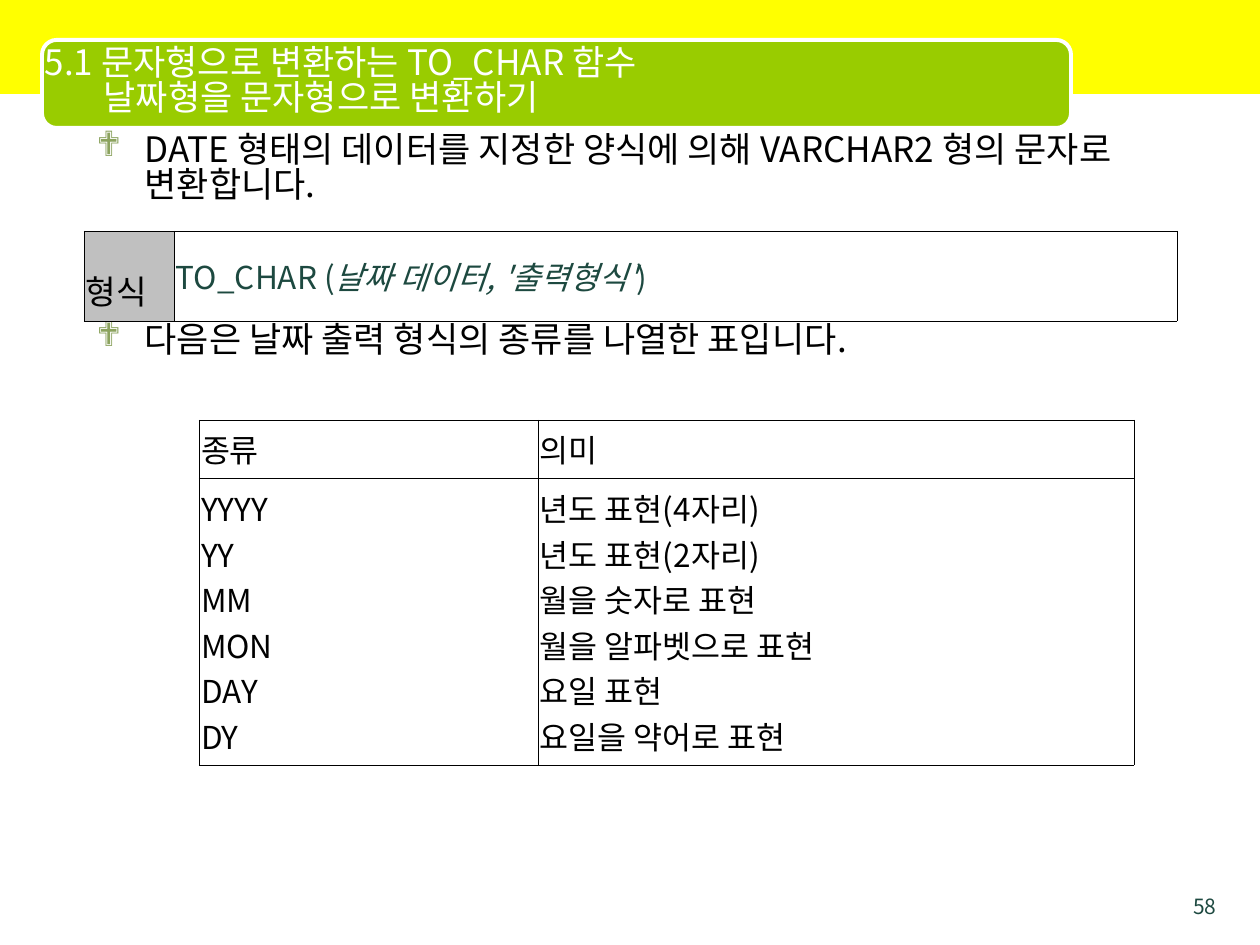
import pptx
import pptx.util
import pptx.dml.color
import pptx.enum.shapes
import pptx.enum.text
import pptx.oxml
import pptx.oxml.ns
from dataclasses import dataclass
from lxml import etree


@dataclass
class Theme:
    font: str = "Noto Sans CJK KR"
    band: str = "FFFF00"
    bar: str = "99CC00"
    white: str = "FFFFFF"
    black: str = "000000"
    green: str = "1D4940"
    mark: str = "8CA35F"
    gray: str = "C0C0C0"
    head: int = 20
    label: int = 19
    cell: int = 18
    page: int = 12
    tight: float = 0.83


theme = Theme()
rgb = pptx.dml.color.RGBColor.from_string
qn = pptx.oxml.ns.qn
align = pptx.enum.text.PP_ALIGN
middle = pptx.enum.text.MSO_ANCHOR.MIDDLE
kinds = pptx.enum.shapes.MSO_SHAPE


def px(*nums):
    return [pptx.util.Emu(round(n * 914400 / 126)) for n in nums]


def style(frame, size, color, side=align.LEFT):
    for para in frame.paragraphs:
        para.alignment = side
        for run in para.runs:
            run.font.size = pptx.util.Pt(size)
            run.font.color.rgb = rgb(color)
            run.font.name = theme.font
            props = run.font._element
            etree.SubElement(props, qn("a:ea"), typeface=theme.font)


deck = pptx.Presentation()
deck.slide_width, deck.slide_height = px(1260, 945)
slide = deck.slides.add_slide(deck.slide_layouts[1])
shapes = slide.shapes
title, body = slide.placeholders

for kind, box, color in (
    (kinds.RECTANGLE, (0, 0, 1260, 94), theme.band),
    (kinds.ROUNDED_RECTANGLE, (42, 40, 1029, 88), theme.bar),
):
    shape = shapes.add_shape(kind, *px(*box))
    shape.shadow.inherit = False
    shape.fill.solid()
    shape.fill.fore_color.rgb = rgb(color)
    if color == theme.bar:
        shape.line.color.rgb = rgb(theme.white)
        shape.line.width = pptx.util.Pt(2.25)
    else:
        shape.line.fill.background()
    title._element.addprevious(shape._element)

for holder, box, text, color in (
    (title, (32, 44, 1080, 78),
     "5.1 문자형으로 변환하는 TO_CHAR 함수\n날짜형을 문자형으로 변환하기", theme.white),
    (body, (84, 128, 1144, 772),
     "DATE 형태의 데이터를 지정한 양식에 의해 VARCHAR2 형의 문자로 변환합니다.\n"
     "다음은 날짜 출력 형식의 종류를 나열한 표입니다.", theme.black),
):
    holder.left, holder.top, holder.width, holder.height = px(*box)
    frame = holder.text_frame
    frame.text = text
    frame.word_wrap = True
    frame.auto_size = pptx.enum.text.MSO_AUTO_SIZE.NONE
    for para in frame.paragraphs:
        para.line_spacing = theme.tight
        para.space_before = pptx.util.Pt(0)
    style(frame, theme.head, color)

title.text_frame.vertical_anchor = middle
title.text_frame.paragraphs[1]._p.get_or_add_pPr().set("marL", str(px(59)[0]))

for para in body.text_frame.paragraphs:
    props = para._p.get_or_add_pPr()
    inset = px(48)[0]
    props.set("marL", str(inset))
    props.set("indent", str(-inset))
    tint = etree.SubElement(props, qn("a:buClr"))
    etree.SubElement(tint, qn("a:srgbClr"), val=theme.mark)
    etree.SubElement(props, qn("a:buFont"), typeface="Wingdings")
    etree.SubElement(props, qn("a:buChar"), char="❖")
body.text_frame.paragraphs[1].space_before = pptx.util.Pt(69)

codes = "YYYY\nYY\nMM\nMON\nDAY\nDY"
means = ("년도 표현(4자리)\n년도 표현(2자리)\n월을 숫자로 표현\n"
         "월을 알파벳으로 표현\n요일 표현\n요일을 약어로 표현")
grids = []
for left, top, cols, rows, data in (
    (84, 231, (90, 1003), (90,), (("형식", "TO_CHAR ("),)),
    (199, 420, (339, 596), (58, 287), (("종류", "의미"), (codes, means))),
):
    grid = shapes.add_table(
        len(rows), len(cols), *px(left, top, sum(cols), sum(rows))).table
    grid.first_row = grid.horz_banding = False
    for col, wide in zip(grid.columns, px(*cols)):
        col.width = wide
    for row, high, texts in zip(grid.rows, px(*rows), data):
        row.height = high
        for cell, text in zip(row.cells, texts):
            cell.text = text
            cell.vertical_anchor = middle
            cell.margin_left = cell.margin_right = px(2)[0]
            props = cell._tc.get_or_add_tcPr()
            for edge in ("L", "R", "T", "B"):
                line = etree.SubElement(props, qn("a:ln" + edge), w="1400")
                fill = etree.SubElement(line, qn("a:solidFill"))
                etree.SubElement(fill, qn("a:srgbClr"), val=theme.black)
            cell.fill.background()
            style(cell.text_frame, theme.cell, theme.black, align.JUSTIFY)
    grids.append(grid)

label, form = grids[0].rows[0].cells
label.fill.solid()
label.fill.fore_color.rgb = rgb(theme.gray)
label.text_frame.paragraphs[0].line_spacing = 1.6
label.text_frame.paragraphs[0].runs[0].font.size = pptx.util.Pt(theme.label)
for text, slant in (("날짜 데이터, '출력형식'", True), (")", False)):
    run = form.text_frame.paragraphs[0].add_run()
    run.text = text
    run.font.italic = slant
style(form.text_frame, theme.cell, theme.green)

page = shapes.add_textbox(*px(1166, 887, 63, 26))
page.text_frame.text = "58"
page.text_frame.word_wrap = True
style(page.text_frame, theme.page, theme.green, align.RIGHT)

deck.save("out.pptx")
